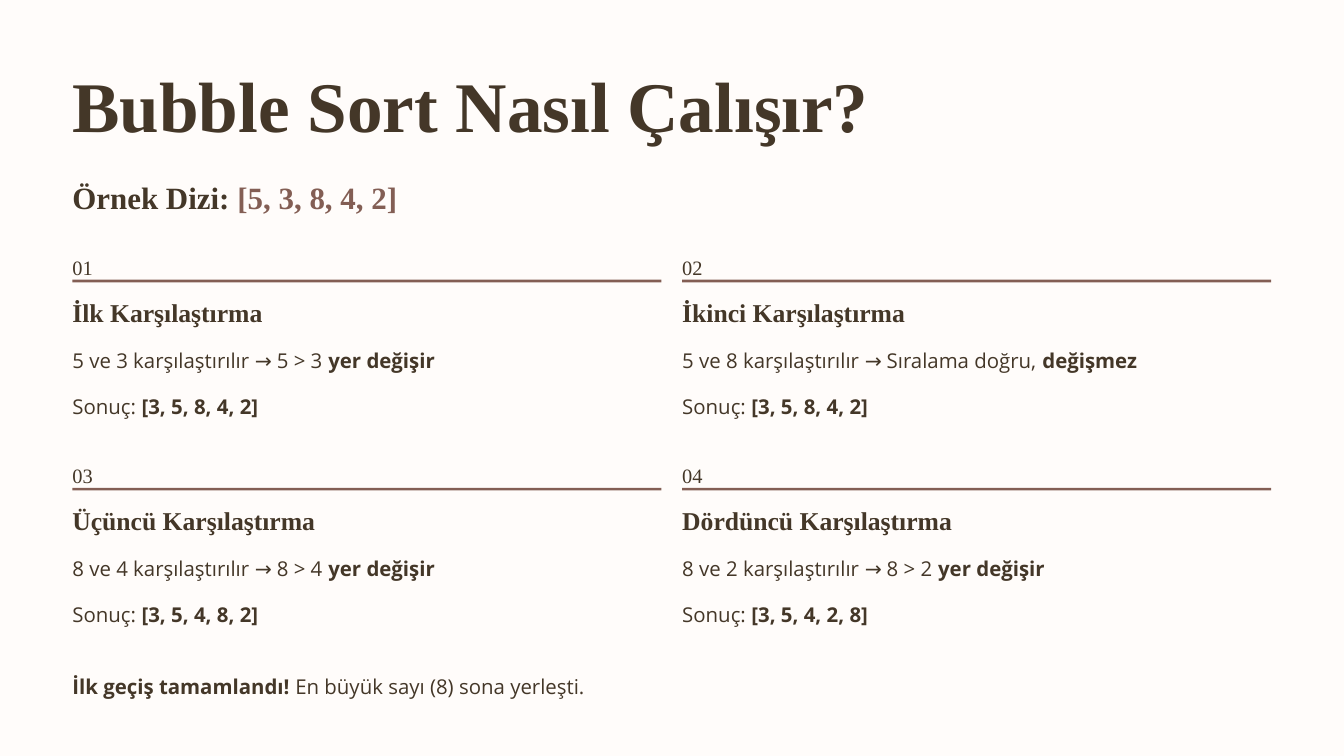
from dataclasses import dataclass

from pptx import Presentation
from pptx.dml.color import RGBColor
from pptx.enum.shapes import MSO_SHAPE
from pptx.enum.text import MSO_ANCHOR, MSO_AUTO_SIZE, PP_ALIGN
from pptx.util import Cm, Pt

RECTANGLE = MSO_SHAPE.RECTANGLE
TOP = MSO_ANCHOR.TOP
NO_AUTOFIT = MSO_AUTO_SIZE.NONE
LEFT = PP_ALIGN.LEFT

# Content
TITLE = "Bubble Sort Nasıl Çalışır?"
EXAMPLE = ("Örnek Dizi: ", "[5, 3, 8, 4, 2]")
RESULT_LABEL = "Sonuç: "
STEPS = [  # heading, comparison, outcome, resulting array
    ("İlk Karşılaştırma", "5 ve 3 karşılaştırılır → 5 > 3 ",
     "yer değişir", "[3, 5, 8, 4, 2]"),
    ("İkinci Karşılaştırma", "5 ve 8 karşılaştırılır → Sıralama doğru, ",
     "değişmez", "[3, 5, 8, 4, 2]"),
    ("Üçüncü Karşılaştırma", "8 ve 4 karşılaştırılır → 8 > 4 ",
     "yer değişir", "[3, 5, 4, 8, 2]"),
    ("Dördüncü Karşılaştırma", "8 ve 2 karşılaştırılır → 8 > 2 ",
     "yer değişir", "[3, 5, 4, 2, 8]"),
]
CONCLUSION = ("İlk geçiş tamamlandı! ", "En büyük sayı (8) sona yerleşti.")


@dataclass(frozen=True)
class Style:
    font: str
    size: float
    line: float


class Theme:
    paper = RGBColor(0xFF, 0xFC, 0xFA)
    ink = RGBColor(0x44, 0x37, 0x28)
    accent = RGBColor(0x83, 0x5E, 0x54)
    title = Style("Times New Roman", 61, 76.5)
    example = Style("Times New Roman", 26.5, 33)
    heading = Style("Times New Roman", 22, 27.5)
    number = Style("Times New Roman", 17.5, 28)
    body = Style("Open Sans", 17.5, 28)


# Layout, in centimetres
MARGIN = 2.19
COLUMNS = 2
COLUMN_WIDTH, COLUMN_PITCH = 17.81, 18.44
GRID_TOP, ROW_PITCH = 7.47, 6.29
RULE_DROP, HEADING_DROP, COMPARISON_DROP, RESULT_DROP = 0.99, 1.47, 2.82, 4.19
RULE_HEIGHT, LINE_HEIGHT = 0.08, 0.99


def write(frame, style, *runs):
    """Fill a frame with one line; each run is (text, bold, colour)."""
    frame.margin_left = frame.margin_right = 0
    frame.margin_top = frame.margin_bottom = 0
    frame.word_wrap = False
    frame.auto_size = NO_AUTOFIT
    frame.vertical_anchor = TOP
    paragraph = frame.paragraphs[0]
    paragraph.alignment = LEFT
    paragraph.line_spacing = Pt(style.line)
    for text, bold, colour in runs:
        run = paragraph.add_run()
        run.text = text
        run.font.name = style.font
        run.font.size = Pt(style.size)
        run.font.bold = bold
        run.font.color.rgb = colour


def add_line(slide, x, y, width, height, style, *runs):
    box = slide.shapes.add_textbox(Cm(x), Cm(y), Cm(width), Cm(height))
    write(box.text_frame, style, *runs)


def add_rule(slide, x, y):
    rule = slide.shapes.add_shape(
        RECTANGLE, Cm(x), Cm(y), Cm(COLUMN_WIDTH), Cm(RULE_HEIGHT))
    rule.shadow.inherit = False
    rule.fill.solid()
    rule.fill.fore_color.rgb = Theme.accent
    rule.line.fill.background()


def add_step(slide, index, step):
    heading, comparison, outcome, result = step
    row, column = divmod(index, COLUMNS)
    x = MARGIN + column * COLUMN_PITCH
    y = GRID_TOP + row * ROW_PITCH
    add_line(slide, x, y, 0.64, 0.79, Theme.number,
             (f"{index + 1:02}", False, Theme.ink))
    add_rule(slide, x, y + RULE_DROP)
    add_line(slide, x, y + HEADING_DROP, 7.9, LINE_HEIGHT, Theme.heading,
             (heading, True, Theme.ink))
    for drop, plain, strong in ((COMPARISON_DROP, comparison, outcome),
                                (RESULT_DROP, RESULT_LABEL, result)):
        add_line(slide, x, y + drop, COLUMN_WIDTH, LINE_HEIGHT, Theme.body,
                 (plain, False, Theme.ink), (strong, True, Theme.ink))


def main():
    deck = Presentation()
    deck.slide_width, deck.slide_height = Cm(40.64), Cm(22.86)
    slide = deck.slides.add_slide(deck.slide_layouts[5])
    slide.background.fill.solid()
    slide.background.fill.fore_color.rgb = Theme.paper

    # Title, wide enough to stay on one line
    title = slide.shapes.title
    title.left, title.top = Cm(MARGIN), Cm(1.73)
    title.width, title.height = Cm(24.6), Cm(2.69)
    write(title.text_frame, Theme.title, (TITLE, True, Theme.ink))

    # Example array
    label, array = EXAMPLE
    add_line(slide, MARGIN, 5.36, 9.9, 1.17, Theme.example,
             (label, True, Theme.ink), (array, True, Theme.accent))

    # Comparison steps
    for index, step in enumerate(STEPS):
        add_step(slide, index, step)

    # Conclusion
    strong, plain = CONCLUSION
    add_line(slide, MARGIN, 20.14, 36.27, LINE_HEIGHT, Theme.body,
             (strong, True, Theme.ink), (plain, False, Theme.ink))

    deck.save("out.pptx")


if __name__ == "__main__":
    main()
